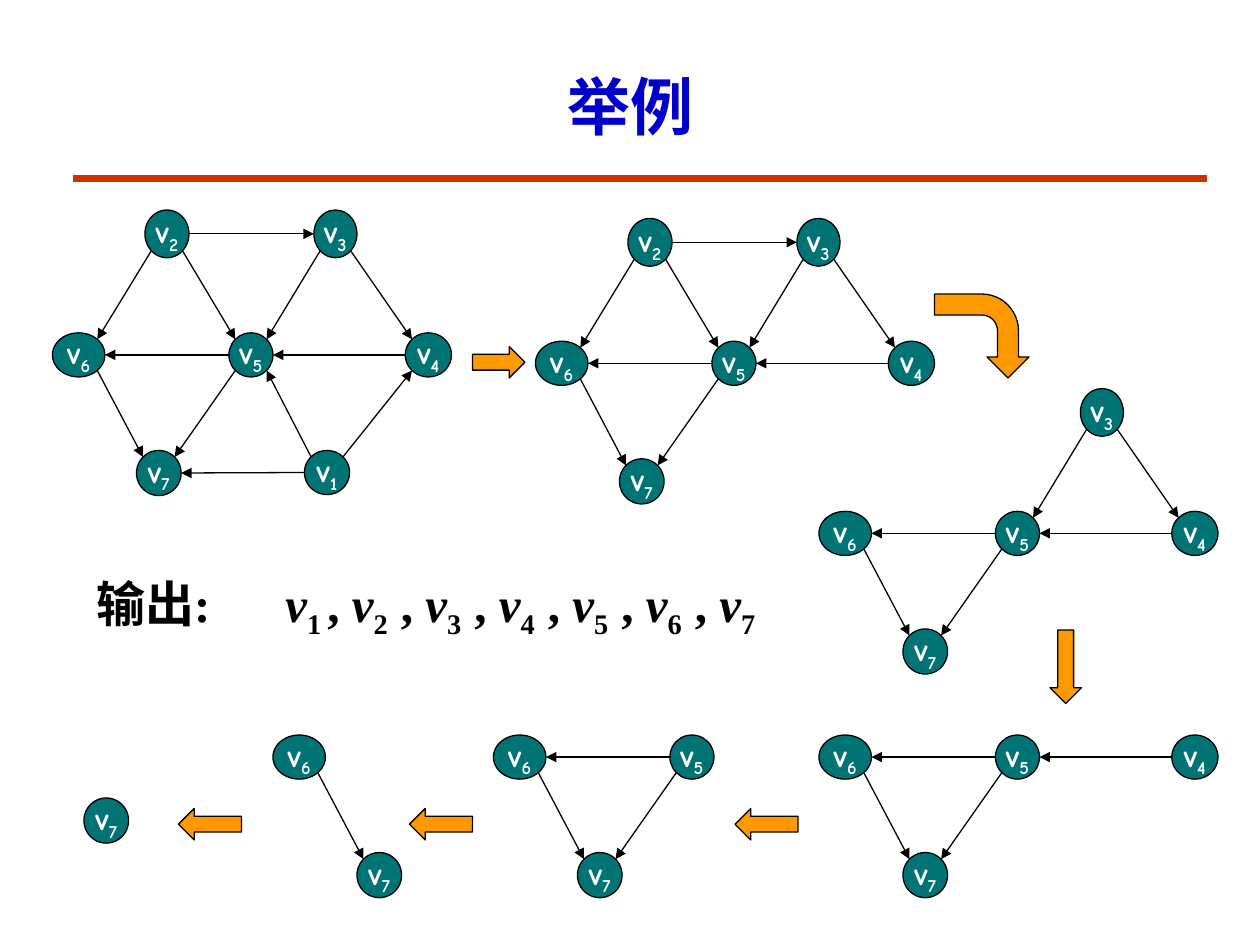
import math
import pptx
import pptx.util
import pptx.dml.color
import pptx.enum.shapes
import pptx.enum.text
import lxml.etree

Pt = pptx.util.Pt
Kind = pptx.enum.shapes.MSO_SHAPE
Align = pptx.enum.text.PP_ALIGN
Mid = pptx.enum.text.MSO_ANCHOR.MIDDLE
Straight = pptx.enum.shapes.MSO_CONNECTOR.STRAIGHT
hue = pptx.dml.color.RGBColor.from_string

theme = {
    "title": hue("0000CC"), "rule": hue("CC3300"), "node": hue("007374"),
    "arrow": hue("FF9900"), "ink": hue("000000"), "pale": hue("FFFFFF"),
    "serif": "Times New Roman", "round": "Comic Neue",
    "head": Pt(36), "body": Pt(28), "label": Pt(18),
    "thin": Pt(0.75), "thick": Pt(4.5),
}

deck = pptx.Presentation()
deck.slide_width = pptx.util.Inches(10)
deck.slide_height = pptx.util.Inches(7.5)
cell = deck.slide_width / 120
slide = deck.slides.add_slide(deck.slide_layouts[5])


def grid(*spans):
    return [round(span * cell) for span in spans]


def link(home, ends, color, width, tip):
    line = home.add_connector(Straight, *grid(*ends))
    line.line.color.rgb = color
    line.line.width = width
    space = line.element.nsmap["a"]
    if tip:
        mark = lxml.etree.SubElement(line.line._get_or_add_ln(), f"{{{space}}}tailEnd")
        mark.set("type", "triangle")
    lxml.etree.SubElement(line.element.spPr, f"{{{space}}}effectLst")


link(slide.shapes, (7, 17, 115, 17), theme["rule"], theme["thick"], False)

title = slide.shapes.title
title.left, title.top, title.width, title.height = grid(7, 4, 106, 12)
title.text_frame.text = "举例"
title.text_frame.vertical_anchor = Mid
para = title.text_frame.paragraphs[0]
para.alignment = Align.CENTER
para.font.name, para.font.size = theme["serif"], theme["head"]
para.font.bold = True
para.font.color.rgb = theme["title"]

nodes = {
    1: (24, 22.9, 4.3, 4.2),
    2: (8.8, 0, 4.2, 4.55),
    3: (24.9, 0, 4.1, 4.55),
    4: (33.6, 11.7, 4.4, 4.2),
    5: (16.8, 11.7, 4.2, 4.2),
    6: (0, 11.7, 5, 4.2),
    7: (8, 22.9, 4.25, 4.3),
}
edges = [(2, 6), (2, 5), (2, 3), (3, 4), (4, 5), (1, 4), (5, 7),
         (1, 5), (1, 7), (6, 7), (5, 6), (3, 5)]
stages = [
    (5, 20, (2, 3, 6, 5, 4, 7, 1)),
    (51, 20.8, (2, 3, 6, 5, 4, 7)),
    (78, 37, (3, 6, 5, 4, 7)),
    (78, 58.3, (6, 5, 4, 7)),
    (47, 58.3, (6, 5, 7)),
    (26, 58.3, (6, 7)),
    (0, 53.1, (7,)),
]

for left, top, kept in stages:
    graph = slide.shapes.add_group_shape().shapes
    for num in kept:
        x, y, wide, high = nodes[num]
        ball = graph.add_shape(Kind.OVAL, *grid(left + x, top + y, wide, high))
        ball.shadow.inherit = False
        ball.fill.solid()
        ball.fill.fore_color.rgb = theme["node"]
        ball.line.color.rgb = theme["ink"]
        ball.line.width = theme["thin"]
        ball.text_frame.word_wrap = False
        ball.text_frame.vertical_anchor = Mid
        para = ball.text_frame.paragraphs[0]
        para.alignment = Align.CENTER
        para.font.name, para.font.size = theme["round"], theme["label"]
        para.font.bold = True
        para.font.color.rgb = theme["pale"]
        para.add_run().text = "v"
        low = para.add_run()
        low.text = str(num)
        low.font._element.set("baseline", "-25000")
    for pair in edges:
        if not set(pair) <= set(kept):
            continue
        start, end = (nodes[num] for num in pair)
        right = math.copysign(1, end[0] - start[0])
        down = (end[1] > start[1]) - (end[1] < start[1])
        reach = math.sqrt(0.5) if down else 1
        ends = []
        for (x, y, wide, high), way in ((start, 1), (end, -1)):
            ends += [left + x + wide / 2 * (1 + way * right * reach),
                     top + y + high / 2 * (1 + way * down * reach)]
        link(graph, ends, theme["ink"], theme["thin"], True)

arrows = [
    (Kind.RIGHT_ARROW, 45, 33, 5, 3, 0),
    (Kind.BENT_ARROW, 89.5, 27.5, 8, 9, 90),
    (Kind.DOWN_ARROW, 100, 60, 3, 7, 0),
    (Kind.LEFT_ARROW, 70, 77, 6, 3, 0),
    (Kind.LEFT_ARROW, 39, 77, 6, 3, 0),
    (Kind.LEFT_ARROW, 17, 77, 6, 3, 0),
]
for kind, *place, turn in arrows:
    arrow = slide.shapes.add_shape(kind, *grid(*place))
    arrow.rotation = turn
    arrow.shadow.inherit = False
    arrow.fill.solid()
    arrow.fill.fore_color.rgb = theme["arrow"]
    arrow.line.color.rgb = theme["ink"]
    arrow.line.width = theme["thin"]

words = [(8, 19, 8, ["输出:"]), (26, 6.1, 6.8, ["v", "1"])]
words += [(16 + 7 * num, 8.4, 6.8, [", ", "v", str(num)]) for num in range(2, 8)]
for left, wide, high, parts in words:
    box = slide.shapes.add_textbox(*grid(left, 54, wide, high))
    box.text_frame.word_wrap = len(parts) == 1
    para = box.text_frame.paragraphs[0]
    para.font.name, para.font.size = theme["serif"], theme["body"]
    para.font.bold = True
    para.font.color.rgb = theme["ink"]
    if len(parts) == 1:
        para.space_before = Pt(5.6)
    for part in parts:
        run = para.add_run()
        run.text = part
        if part == "v":
            run.font.italic = True
        elif part.isdigit():
            run.font._element.set("baseline", "-25000")

deck.save("out.pptx")
